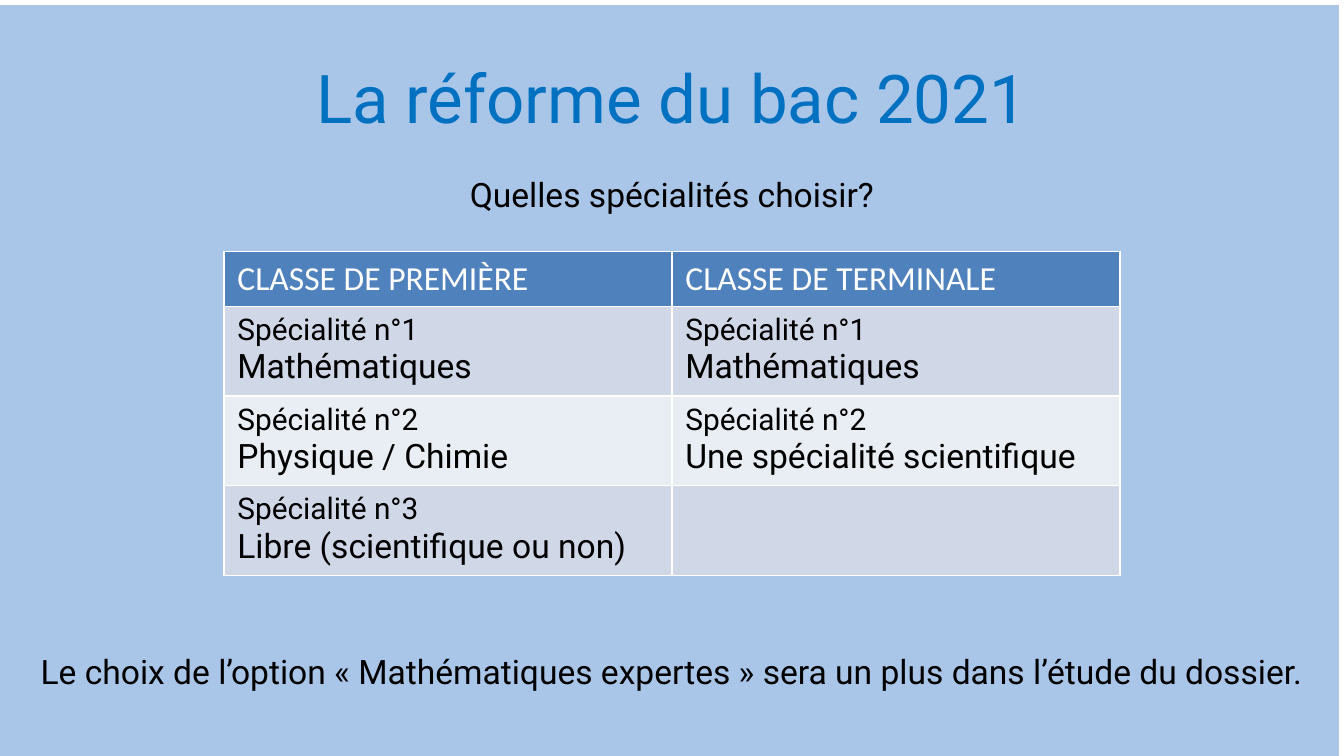
from dataclasses import dataclass

from lxml import etree
from pptx import Presentation
from pptx.dml.color import RGBColor
from pptx.enum.shapes import MSO_SHAPE
from pptx.enum.text import MSO_ANCHOR, PP_ALIGN
from pptx.oxml.ns import qn
from pptx.slide import Slide
from pptx.table import _Cell
from pptx.text.text import TextFrame
from pptx.util import Inches, Pt

CENTER = PP_ALIGN.CENTER
LEFT = PP_ALIGN.LEFT
MIDDLE = MSO_ANCHOR.MIDDLE
TOP = MSO_ANCHOR.TOP
RECTANGLE = MSO_SHAPE.RECTANGLE
WHITE = "FFFFFF"
BLACK = "000000"
HEADER_FILL = "4F81BD"
BAND_FILLS = ("D0D8E8", "E9EDF4")
SLIDE_WIDTH = 10
SLIDE_HEIGHT = SLIDE_WIDTH * 9 / 16
COLUMN_WIDTH = SLIDE_WIDTH / 3
HEADER_HEIGHT, ROW_HEIGHT = 0.41, 2 / 3


@dataclass(frozen=True)
class Span:
    """A stretch of text and its look."""

    text: str
    size: float
    color: str = BLACK
    font: str = "Roboto"


@dataclass(frozen=True)
class TextBlock:
    """A centred full-width text box, one paragraph per span."""

    spans: tuple[Span, ...]
    top: float
    height: float
    anchor: MSO_ANCHOR
    line_spacing: float = 1.0
    gap: float = 0


TEXT_BLOCKS = (
    TextBlock(
        (
            Span("Quelles spécialités choisir?", 18),
            Span("Le choix de l’option « Mathématiques expertes » sera un plus dans l’étude du dossier.", 18),
        ),
        1.1,
        4.09,
        MIDDLE,
        1.5,
        223,
    ),
    TextBlock((Span("La réforme du bac 2021", 36, "0070C0"),), 0.37, 0.71, TOP),
)
HEADERS = ("CLASSE DE PREMIÈRE", "CLASSE DE TERMINALE")
SPECIALTY_ROWS = (
    ("Mathématiques", "Mathématiques"),
    ("Physique / Chimie", "Une spécialité scientifique"),
    ("Libre (scientifique ou non)", ""),
)


def rgb(color: str) -> RGBColor:
    """Turn a hex string into a colour."""
    return RGBColor.from_string(color)


def write_paragraphs(
    frame: TextFrame,
    paragraphs: list[list[Span]],
    alignment: PP_ALIGN,
    line_spacing: float = 1.0,
    gap: float = 0,
) -> None:
    """Write paragraphs run by run, with a gap in points between them."""
    for index, spans in enumerate(paragraphs):
        paragraph = frame.add_paragraph() if index else frame.paragraphs[0]
        paragraph.alignment = alignment
        paragraph.line_spacing = line_spacing
        paragraph.space_before = Pt(gap if index else 0)
        for span in spans:
            run = paragraph.add_run()
            run.text = span.text
            run.font.size = Pt(span.size)
            run.font.name = span.font
            run.font.color.rgb = rgb(span.color)


def add_background(slide: Slide) -> None:
    """Cover the slide with a half-transparent blue panel."""
    shape = slide.shapes.add_shape(
        RECTANGLE, Inches(-0.02), Inches(0.02), Inches(SLIDE_WIDTH), Inches(SLIDE_HEIGHT)
    )
    shape.shadow.inherit = False
    shape.fill.solid()
    shape.fill.fore_color.rgb = rgb("558ED5")
    color = shape.fill._xPr.find(f"{qn('a:solidFill')}/{qn('a:srgbClr')}")
    etree.SubElement(color, qn("a:alpha"), val="50000")
    shape.line.color.rgb = rgb(WHITE)
    shape.line.width = Pt(2)


def add_text_block(slide: Slide, block: TextBlock) -> None:
    """Add a centred full-width text box."""
    box = slide.shapes.add_textbox(
        0, Inches(block.top), Inches(SLIDE_WIDTH), Inches(block.height)
    )
    box.text_frame.word_wrap = True
    box.text_frame.vertical_anchor = block.anchor
    paragraphs = [[span] for span in block.spans]
    write_paragraphs(box.text_frame, paragraphs, CENTER, block.line_spacing, block.gap)


def style_cell(cell: _Cell, fill: str) -> None:
    """Fill a cell and give it thin white borders."""
    cell.fill.solid()
    cell.fill.fore_color.rgb = rgb(fill)
    properties = cell._tc.get_or_add_tcPr()
    for index, side in enumerate(("lnL", "lnR", "lnT", "lnB")):
        border = etree.Element(qn(f"a:{side}"), w=str(Pt(1)))
        solid = etree.SubElement(border, qn("a:solidFill"))
        etree.SubElement(solid, qn("a:srgbClr"), val=WHITE)
        properties.insert(index, border)


def specialty_paragraphs(number: int, subject: str) -> list[list[Span]]:
    """Give the label and subject, which share one wrapping paragraph in the first row."""
    label = f"Spécialité n°{number}"
    if number == 1:
        return [[Span(f"{label} ", 16), Span(subject, 18)]]
    return [[Span(label, 16)], [Span(subject, 18)]]


def add_specialties(slide: Slide) -> None:
    """Add the table of specialties by school year."""
    table_width = COLUMN_WIDTH * len(HEADERS)
    table = slide.shapes.add_table(
        len(SPECIALTY_ROWS) + 1,
        len(HEADERS),
        Inches((SLIDE_WIDTH - table_width) / 2),
        Inches(1.87),
        Inches(table_width),
        Inches(HEADER_HEIGHT + ROW_HEIGHT * len(SPECIALTY_ROWS)),
    ).table
    for index, row in enumerate(table.rows):
        row.height = Inches(ROW_HEIGHT if index else HEADER_HEIGHT)
    for cell, header in zip(table.rows[0].cells, HEADERS):
        style_cell(cell, HEADER_FILL)
        write_paragraphs(cell.text_frame, [[Span(header, 18, WHITE, "Calibri")]], LEFT)
    for number, subjects in enumerate(SPECIALTY_ROWS, start=1):
        for cell, subject in zip(table.rows[number].cells, subjects):
            style_cell(cell, BAND_FILLS[(number - 1) % 2])
            if subject:
                write_paragraphs(cell.text_frame, specialty_paragraphs(number, subject), LEFT)


def main() -> None:
    """Build and save the slide."""
    presentation = Presentation()
    presentation.slide_width = Inches(SLIDE_WIDTH)
    presentation.slide_height = Inches(SLIDE_HEIGHT)
    slide = presentation.slides.add_slide(presentation.slide_layouts[6])
    add_background(slide)
    for block in TEXT_BLOCKS:
        add_text_block(slide, block)
    add_specialties(slide)
    presentation.save("out.pptx")


if __name__ == "__main__":
    main()
